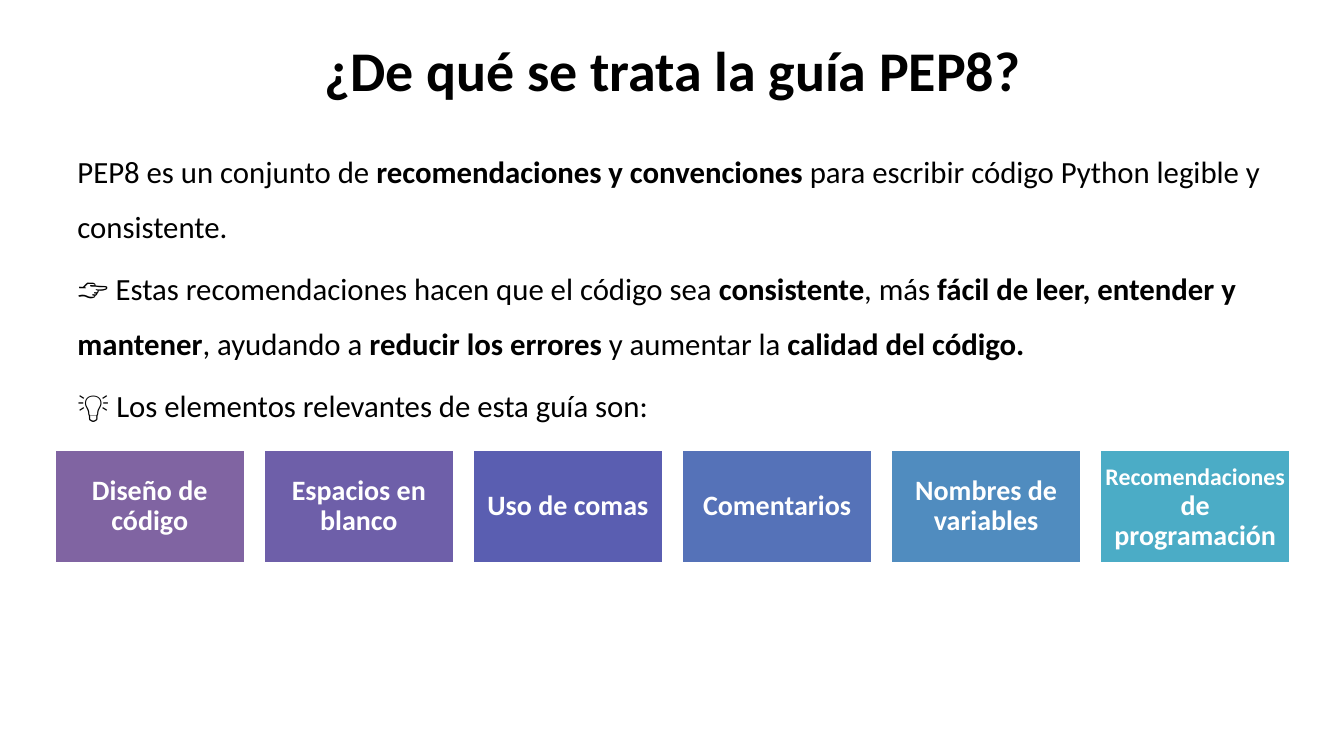
from dataclasses import dataclass

from pptx import Presentation
from pptx.dml.color import RGBColor
from pptx.enum.shapes import MSO_SHAPE as Shape
from pptx.enum.text import MSO_ANCHOR as Anchor, PP_ALIGN as Align
from pptx.util import Inches, Pt


@dataclass(frozen=True)
class Theme:
    """Colours, font and type sizes of the slide."""
    font: str = "Calibri"
    ink: str = "000000"
    paper: str = "FFFFFF"
    title: float = 40
    body: float = 22
    topic: float = 20
    long_topic: float = 17


THEME = Theme()
WIDTH, HEIGHT = 13.33, 7.5
MARGIN = 0.67
CONTENT_WIDTH = 12
TOPIC_LEFT, TOPIC_TOP = 0.54, 4.46
TOPIC_PITCH = 2.074
TOPIC_WIDTH, TOPIC_HEIGHT = 1.89, 1.13

BODY = [
    [("PEP8 es un conjunto de ", False),
     ("recomendaciones y convenciones", True),
     (" para escribir código Python legible y consistente.", False)],
    [("👉 Estas recomendaciones hacen que el código sea ", False),
     ("consistente", True),
     (", más ", False),
     ("fácil de leer, entender y mantener", True),
     (", ayudando a ", False),
     ("reducir los errores ", True),
     ("y aumentar la ", False),
     ("calidad del código.", True)],
    [("💡 ", False),
     ("Los elementos relevantes de esta guía son:", False)],
]

TOPICS = [
    ("8064A2", 0.08, [("Diseño de código", THEME.topic)]),
    ("6E5FA9", 0.08, [("Espacios en blanco", THEME.topic)]),
    ("5A5EB1", 0.08, [("Uso de comas", THEME.topic)]),
    ("5572B8", 0.08, [("Comentarios", THEME.topic)]),
    ("508CBF", 0.08, [("Nombres de variables", THEME.topic)]),
    ("4BACC6", 0, [("Recomendaciones", THEME.long_topic),
                   (" de programación", THEME.topic)]),
]


def add_span(para, text, size, color, bold):
    """Append one formatted run to a paragraph."""
    span = para.add_run()
    span.text = text
    span.font.name = THEME.font
    span.font.size = Pt(size)
    span.font.bold = bold
    span.font.color.rgb = RGBColor.from_string(color)


def add_text_box(page, top, height, anchor):
    """Add a wrapping text box across the content width and return its frame."""
    box = page.shapes.add_textbox(
        Inches(MARGIN), Inches(top), Inches(CONTENT_WIDTH), Inches(height))
    frame = box.text_frame
    frame.word_wrap = True
    frame.vertical_anchor = anchor
    return frame


def add_title(page, text):
    """Add the centred slide title."""
    para = add_text_box(page, 0.3, 0.77, Anchor.MIDDLE).paragraphs[0]
    para.alignment = Align.CENTER
    add_span(para, text, THEME.title, THEME.ink, True)


def add_body(page, paragraphs):
    """Add the explanatory paragraphs."""
    frame = add_text_box(page, 1.28, 3.13, Anchor.TOP)
    for index, spans in enumerate(paragraphs):
        para = frame.add_paragraph() if index else frame.paragraphs[0]
        para.line_spacing = 1.5
        para.space_before = Pt(0.2 * THEME.body)
        for text, bold in spans:
            add_span(para, text, THEME.body, THEME.ink, bold)


def add_topic(page, column, fill, inset, spans):
    """Add one coloured topic box in the given column."""
    box = page.shapes.add_shape(
        Shape.RECTANGLE, Inches(TOPIC_LEFT + column * TOPIC_PITCH),
        Inches(TOPIC_TOP), Inches(TOPIC_WIDTH), Inches(TOPIC_HEIGHT))
    box.shadow.inherit = False
    box.fill.solid()
    box.fill.fore_color.rgb = RGBColor.from_string(fill)
    box.line.color.rgb = RGBColor.from_string(THEME.paper)
    box.line.width = Pt(2)
    frame = box.text_frame
    frame.word_wrap = True
    frame.vertical_anchor = Anchor.MIDDLE
    frame.margin_left = frame.margin_right = Inches(inset)
    frame.margin_top = frame.margin_bottom = Inches(inset)
    para = frame.paragraphs[0]
    para.alignment = Align.CENTER
    para.line_spacing = 0.9
    for text, size in spans:
        add_span(para, text, size, THEME.paper, True)


def main():
    """Build and save the slide."""
    deck = Presentation()
    deck.slide_width, deck.slide_height = Inches(WIDTH), Inches(HEIGHT)
    page = deck.slides.add_slide(deck.slide_layouts[6])
    add_title(page, "¿De qué se trata la guía PEP8?")
    add_body(page, BODY)
    for column, (fill, inset, spans) in enumerate(TOPICS):
        add_topic(page, column, fill, inset, spans)
    deck.save("out.pptx")


if __name__ == "__main__":
    main()
